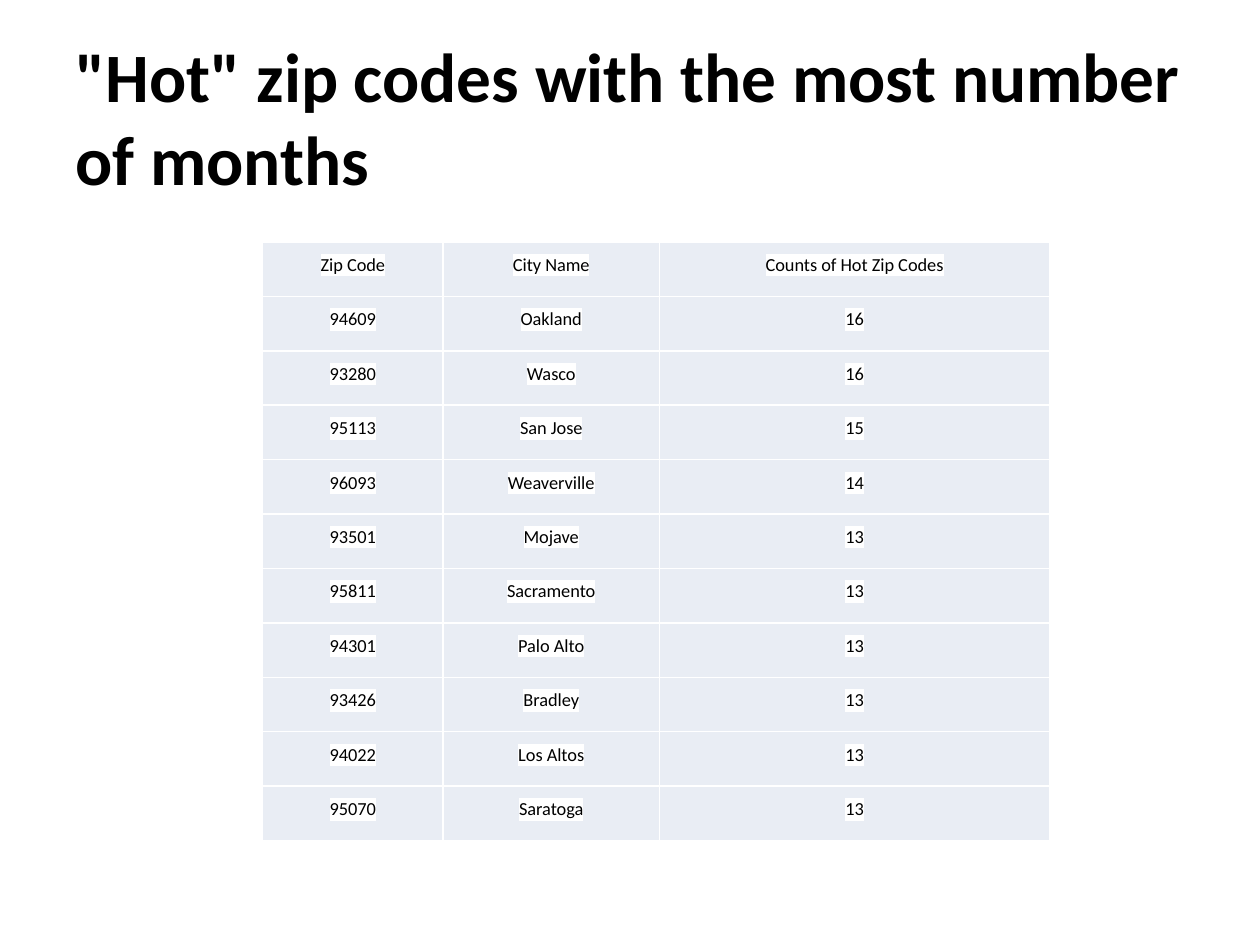
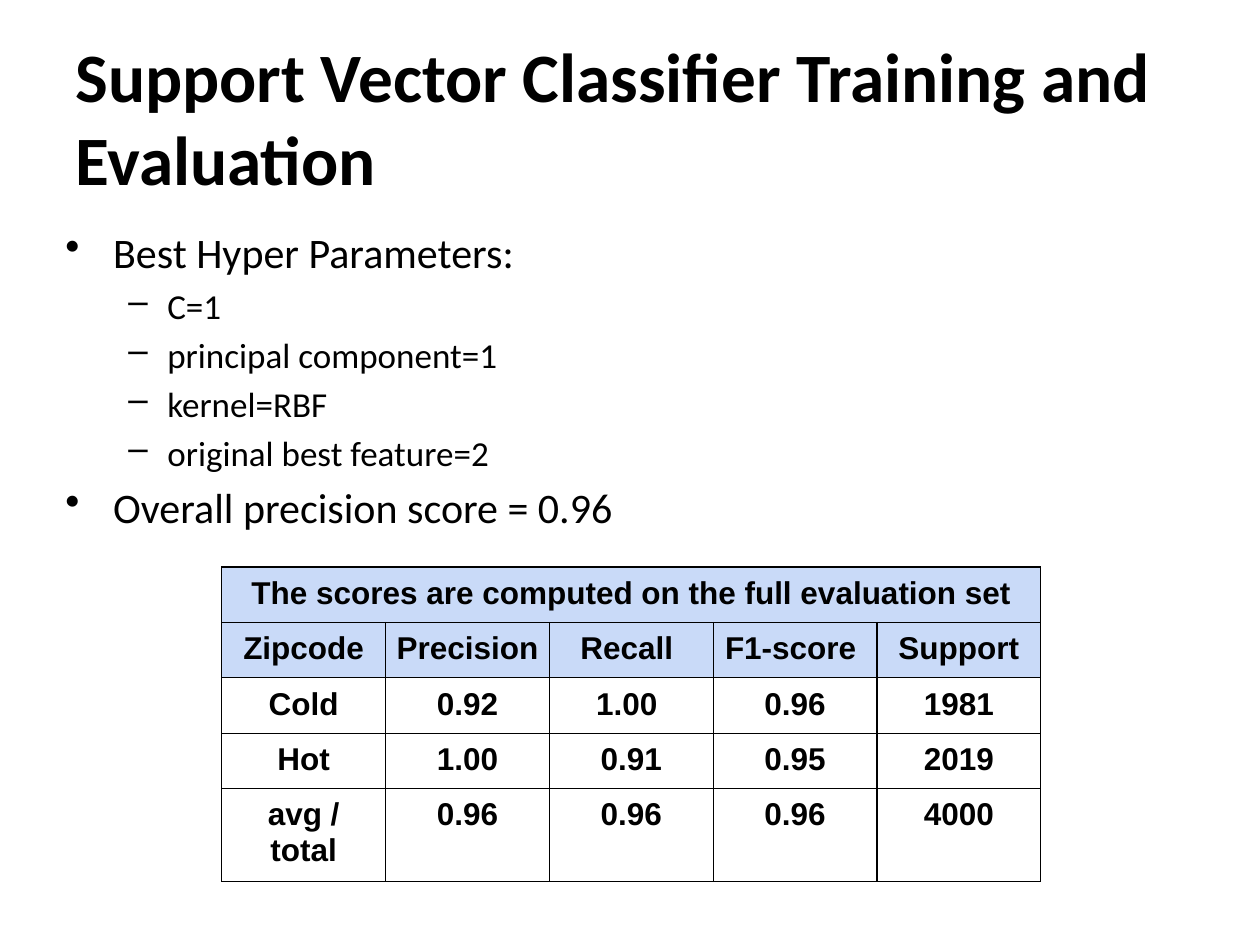
from lxml.etree import SubElement
from pptx import Presentation
from pptx.dml.color import RGBColor
from pptx.enum.text import MSO_ANCHOR as Anchor, PP_ALIGN as Align
from pptx.oxml.ns import qn
from pptx.util import Inches, Pt

SLIDE_WIDTH, SLIDE_HEIGHT = Inches(10), Inches(7.5)
COLORS = {
    "ink": "000000",
    "paper": "FFFFFF",
    "city_cell": "E9EDF4",
    "score_header": "C9DAF8",
}
CELL_INSET = Inches(0.07)
BULLET_LEVELS = [
    {"sign": "•", "size": 24, "indent": 0.38, "hang": 0.38},
    {"sign": "–", "size": 20, "indent": 0.81, "hang": 0.31},
]

HOT_ZIP_CODES = [
    ("Zip Code", "City Name", "Counts of Hot Zip Codes"),
    ("94609", "Oakland", "16"),
    ("93280", "Wasco", "16"),
    ("95113", "San Jose", "15"),
    ("96093", "Weaverville", "14"),
    ("93501", "Mojave", "13"),
    ("95811", "Sacramento", "13"),
    ("94301", "Palo Alto", "13"),
    ("93426", "Bradley", "13"),
    ("94022", "Los Altos", "13"),
    ("95070", "Saratoga", "13"),
]
PARAMETERS = [
    (0, "Best Hyper Parameters:"),
    (1, "C=1"),
    (1, "principal component=1"),
    (1, "kernel=RBF"),
    (1, "original best feature=2"),
    (0, "Overall precision score = 0.96"),
]
SCORES = [
    ("The scores are computed on the full evaluation set", "", "", "", ""),
    ("Zipcode", "Precision ", "Recall ", "F1-score ", "Support"),
    ("Cold", "0.92", "1.00 ", "0.96", "1981"),
    ("Hot", "1.00", "0.91", "0.95", "2019"),
    ("avg / total", "0.96", "0.96", "0.96", "4000"),
]


def across(percent):
    return round(SLIDE_WIDTH * percent / 100)


def down(percent):
    return round(SLIDE_HEIGHT * percent / 100)


def style_font(font, size, face="Calibri", bold=False):
    font.size, font.name, font.bold = Pt(size), face, bold
    font.color.rgb = RGBColor.from_string(COLORS["ink"])


def add_color(parent, tag, color):
    holder = SubElement(parent, qn(tag))
    SubElement(holder, qn("a:srgbClr"), val=COLORS[color])


def add_text_frame(slide, left, top, width, height):
    frame = slide.shapes.add_textbox(
        across(left), down(top), across(width), down(height)
    ).text_frame
    frame.word_wrap = True
    return frame


def add_title(slide, wording):
    frame = add_text_frame(slide, 5, 4, 90, 16.67)
    frame.vertical_anchor = Anchor.MIDDLE
    heading = frame.paragraphs[0]
    heading.text = wording
    style_font(heading.font, 39.6, bold=True)


def add_bullets(slide, entries):
    frame = add_text_frame(slide, 4.2, 23.33, 93.3, 66)
    for position, (depth, wording) in enumerate(entries):
        entry = frame.add_paragraph() if position else frame.paragraphs[0]
        level = BULLET_LEVELS[depth]
        entry.text, entry.level = wording, depth
        entry.space_before = Pt(level["size"] * 0.2)
        style_font(entry.font, level["size"])
        settings = entry.font._element.getparent()
        settings.set("marL", str(Inches(level["indent"])))
        settings.set("indent", str(-Inches(level["hang"])))
        sign = SubElement(settings, qn("a:buChar"), char=level["sign"])
        entry.font._element.addprevious(sign)


def border_cell(cell, color, width):
    settings = cell._tc.get_or_add_tcPr()
    for position, side in enumerate(("a:lnL", "a:lnR", "a:lnT", "a:lnB")):
        edge = SubElement(settings, qn(side), w=str(Pt(width)))
        add_color(edge, "a:solidFill", color)
        settings.insert(position, edge)


def add_grid(slide, rows, left, top, widths, heights):
    grid = slide.shapes.add_table(
        len(rows), len(widths), across(left), down(top),
        across(sum(widths)), down(sum(heights)),
    ).table
    grid.first_row = grid.horz_banding = False
    for column, width in zip(grid.columns, widths):
        column.width = across(width)
    for row, height in zip(grid.rows, heights):
        row.height = down(height)
    for row, wordings in zip(grid.rows, rows):
        for cell, wording in zip(row.cells, wordings):
            cell.margin_left = cell.margin_right = CELL_INSET
            cell.margin_top = cell.margin_bottom = CELL_INSET
            entry = cell.text_frame.paragraphs[0]
            entry.alignment = Align.CENTER
            if wording:
                entry.text = wording
    return grid


def fill_cell(cell, color):
    cell.fill.solid()
    cell.fill.fore_color.rgb = RGBColor.from_string(COLORS[color])


def add_city_table(slide):
    grid = add_grid(
        slide, HOT_ZIP_CODES, 20.83, 25.6,
        [14.35, 17.15, 31], [5.76] * len(HOT_ZIP_CODES),
    )
    for cell in grid.iter_cells():
        fill_cell(cell, "city_cell")
        border_cell(cell, "paper", 1)
        entry = cell.text_frame.paragraphs[0]
        entry.line_spacing = 1.15
        style_font(entry.font, 10.5)
        add_color(entry.runs[0]._r.get_or_add_rPr(), "a:highlight", "paper")


def add_score_table(slide):
    grid = add_grid(
        slide, SCORES, 17.6, 60, [13] * 5, [5.68] * 4 + [9.42]
    )
    for position, row in enumerate(grid.rows):
        for cell in row.cells:
            fill_cell(cell, "score_header" if position < 2 else "paper")
            border_cell(cell, "ink", 0.75)
            style_font(cell.text_frame.paragraphs[0].font, 18, "Arial", True)
    grid.cell(0, 0).merge(grid.cell(0, 4))


def main():
    deck = Presentation()
    deck.slide_width, deck.slide_height = SLIDE_WIDTH, SLIDE_HEIGHT
    blank = deck.slide_layouts[6]

    hot_zip_codes = deck.slides.add_slide(blank)
    add_title(hot_zip_codes, '"Hot" zip codes with the most number of months')
    add_city_table(hot_zip_codes)

    classifier = deck.slides.add_slide(blank)
    add_title(classifier, "Support Vector Classifier Training and Evaluation")
    add_bullets(classifier, PARAMETERS)
    add_score_table(classifier)

    deck.save("out.pptx")


if __name__ == "__main__":
    main()
